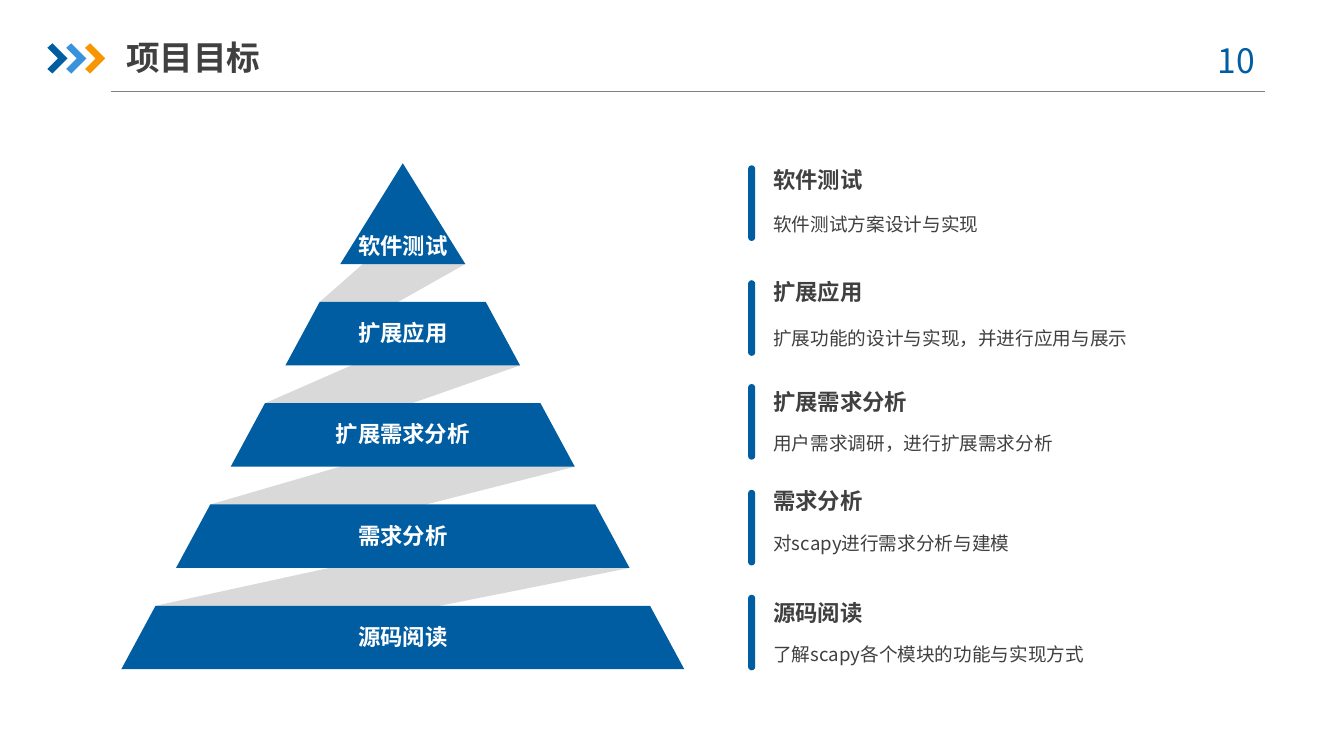
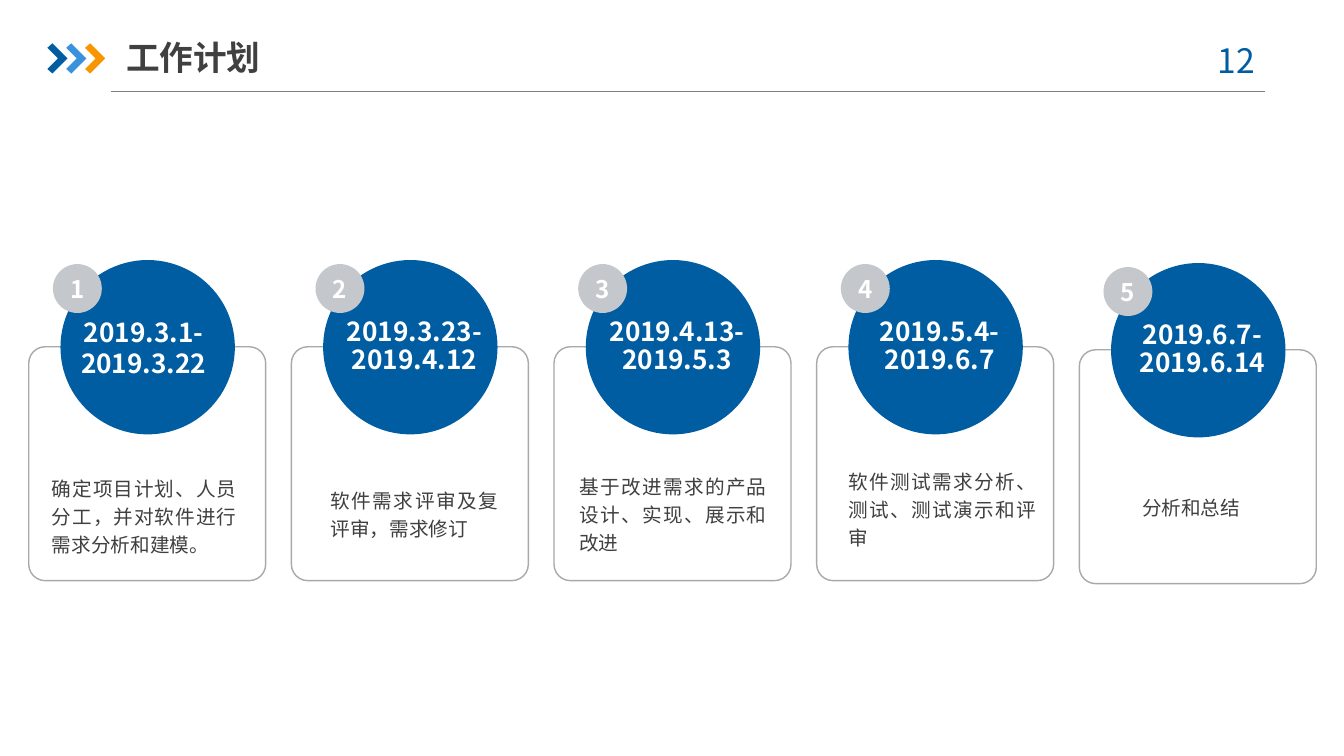
from dataclasses import dataclass

from lxml.etree import SubElement
from pptx import Presentation
from pptx.dml.color import RGBColor
from pptx.enum.shapes import MSO_CONNECTOR as Conn, MSO_SHAPE as Geo
from pptx.enum.text import MSO_ANCHOR as Anchor, MSO_AUTO_SIZE as Fit, PP_ALIGN as Align
from pptx.oxml.ns import qn
from pptx.util import Emu, Inches, Pt

ROWS = 75
SLIDE_H = Inches(7.5)
SLIDE_W = Inches(13.33)
CELL = SLIDE_H / ROWS


@dataclass(frozen=True)
class Theme:
    font: str = "Noto Sans CJK SC"
    blue: str = "005DA2"
    sky: str = "3992DB"
    orange: str = "F79600"
    ink: str = "404040"
    white: str = "FFFFFF"
    rule: str = "808080"
    ribbon: str = "D9D9D9"
    badge: str = "C4C7CB"
    frame: str = "A6AAA9"
    title: float = 24
    heading: float = 16
    note: float = 13.3
    body: float = 14
    date: float = 18.7
    number: float = 17.3


T = Theme()


@dataclass(frozen=True)
class Box:
    col: float
    row: float
    cols: float
    rows: float

    def emu(self) -> tuple[Emu, ...]:
        return tuple(cells(n) for n in (self.col, self.row, self.cols, self.rows))


@dataclass(frozen=True)
class Style:
    size: float
    color: str = T.ink
    bold: bool = False
    align: Align = Align.LEFT
    anchor: Anchor = Anchor.TOP
    spacing: float = 1
    before: float = 0
    inset: tuple[float, float] = (0, 0)
    wrap: bool = True
    grow: bool = False


@dataclass(frozen=True)
class Goal:
    name: str
    note: str
    bar_row: float
    name_row: float
    note_row: float


@dataclass(frozen=True)
class Phase:
    dates: str
    task: str
    task_col: float
    task_row: float
    task_cols: float = 18.6
    date_spacing: float = 0.9
    before: float = 10
    date_shift: float = 0
    drop: float = 0
    align: Align = Align.JUSTIFY


GOALS = (
    Goal("软件测试", "软件测试方案设计与实现", 16.4, 16.2, 20.4),
    Goal("扩展应用", "扩展功能的设计与实现，并进行应用与展示", 27.8, 27.3, 31.7),
    Goal("扩展需求分析", "用户需求调研，进行扩展需求分析", 38.1, 38.3, 42.2),
    Goal("需求分析", "对scapy进行需求分析与建模", 48.6, 48.1, 52.1),
    Goal("源码阅读", "了解scapy各个模块的功能与实现方式", 59.0, 59.2, 63.1),
)

PHASES = (
    Phase("2019.3.1-2019.3.22", "确定项目计划、人员分工，并对软件进行需求分析和建模。",
          2.3, 45.2, task_cols=18.3, date_spacing=1, before=4, date_shift=-0.8),
    Phase("2019.3.23-2019.4.12", "软件需求评审及复评审，需求修订", 3.9, 45, task_cols=16.6, before=4),
    Phase("2019.4.13-2019.5.3", "基于改进需求的产品设计、实现、展示和改进", 2.5, 45),
    Phase("2019.5.4-2019.6.7", "软件测试需求分析、测试、测试演示和评审", 3.2, 44.5),
    Phase("2019.6.7-2019.6.14", "分析和总结", 1.8, 44, drop=0.3, align=Align.CENTER),
)


def cells(n: float) -> Emu:
    return Emu(round(n * CELL))


def paint(sp, fill: str | None, line: str | None = None) -> None:
    sp.shadow.inherit = False
    if fill:
        sp.fill.solid()
        sp.fill.fore_color.rgb = RGBColor.from_string(fill)
    else:
        sp.fill.background()
    if line:
        sp.line.color.rgb = RGBColor.from_string(line)
        sp.line.width = Pt(1)
    else:
        sp.line.fill.background()


def write(sp, text: str, style: Style) -> None:
    tf = sp.text_frame
    tf.text = text
    tf.word_wrap = style.wrap
    tf.auto_size = Fit.SHAPE_TO_FIT_TEXT if style.grow else Fit.NONE
    tf.vertical_anchor = style.anchor
    tf.margin_left = tf.margin_right = cells(style.inset[0])
    tf.margin_top = tf.margin_bottom = cells(style.inset[1])
    p = tf.paragraphs[0]
    p.alignment = style.align
    p.line_spacing = style.spacing
    p.space_before = Pt(style.before)
    for r in p.runs:
        r.font.size = Pt(style.size)
        r.font.bold = style.bold
        r.font.color.rgb = RGBColor.from_string(style.color)
        r.font.name = T.font
        SubElement(r.font._element, qn("a:ea")).set("typeface", T.font)


def add_text(s, box: Box, text: str, style: Style) -> None:
    write(s.shapes.add_textbox(*box.emu()), text, style)


def add_geo(s, geo: Geo, box: Box, fill: str | None, line: str | None = None,
            adjust: tuple[float, ...] = ()):
    sp = s.shapes.add_shape(geo, *box.emu())
    paint(sp, fill, line)
    for i, value in enumerate(adjust):
        sp.adjustments[i] = value
    return sp


def add_polygon(s, points: list[tuple[float, float]], fill: str) -> None:
    start, *rest = [(cells(x), cells(y)) for x, y in points]
    builder = s.shapes.build_freeform(*start)
    builder.add_line_segments(rest, close=True)
    paint(builder.convert_to_shape(), fill)


def add_header(s, title: str, page: str) -> None:
    rule = s.shapes.add_connector(Conn.STRAIGHT, *(cells(n) for n in (11, 9.1, 125.5, 9.1)))
    rule.line.color.rgb = RGBColor.from_string(T.rule)
    rule.line.width = Pt(0.75)
    SubElement(rule._element.spPr, qn("a:effectLst"))
    chevron = ((0, 4.75), (0.5, 4.3), (2, 5.8), (0.5, 7.3), (0, 6.85), (1.05, 5.8))
    for i, color in enumerate((T.blue, T.sky, T.orange)):
        add_polygon(s, [(4.7 + 1.87 * i + x, y) for x, y in chevron], color)
    add_text(s, Box(117.7, 3.5, 9.8, 5), page,
             Style(T.title, T.blue, align=Align.CENTER, inset=(1, 0.5), grow=True))
    add_text(s, Box(12.5, 2.9, 31.1, 5.5), title,
             Style(T.title, bold=True, anchor=Anchor.MIDDLE, inset=(0, 0.5)))


def draw_pyramid(s) -> None:
    center, height, inset, label_rows = 39.95, 6.3, 3.4, 5.1
    tiers = [(26.2 + 10.05 * i, 6.2 + 5.43 * i) for i in range(len(GOALS))]
    for (bottom, half), (next_bottom, next_half) in zip(tiers, tiers[1:]):
        add_polygon(s, [(center + half - 3.7, bottom - 5.7),
                        (center - next_half + inset, next_bottom - height),
                        (center - next_half, next_bottom),
                        (center + half, bottom)], T.ribbon)
    label = Style(T.heading, T.white, True, Align.CENTER, Anchor.MIDDLE)
    for i, (goal, (bottom, half)) in enumerate(zip(GOALS, tiers)):
        base = [(center + half, bottom), (center - half, bottom)]
        if i == 0:
            add_polygon(s, base + [(center, bottom - 10)], T.blue)
        else:
            top, edge = bottom - height, half - inset
            add_polygon(s, base + [(center - edge, top), (center + edge, top)], T.blue)
        middle = bottom - (1.85 if i == 0 else 3.25)
        add_text(s, Box(center - half, middle - label_rows / 2, 2 * half, label_rows),
                 goal.name, label)


def draw_goals(s) -> None:
    name = Style(T.heading, bold=True, inset=(0.5, 0.25), wrap=False, grow=True)
    note = Style(T.note, align=Align.JUSTIFY, spacing=1.2, inset=(0.5, 0.25), grow=True)
    for goal in GOALS:
        add_geo(s, Geo.ROUND_2_SAME_RECTANGLE, Box(74.2, goal.bar_row, 0.7, 7.5),
                T.blue, adjust=(0.5, 0.5))
        add_text(s, Box(76.2, goal.note_row, 41.9, 3), goal.note, note)
        add_text(s, Box(76.2, goal.name_row, 2.23 * len(goal.name) + 1, 3.2), goal.name, name)


def draw_phase(s, index: int, phase: Phase) -> None:
    left, drop = 2.85 + 26.05 * index, phase.drop
    add_geo(s, Geo.ROUNDED_RECTANGLE, Box(left, 34.4 + drop, 23.5, 23.2),
            None, T.frame, (0.07,))
    add_geo(s, Geo.OVAL, Box(left + 3.15, 25.8 + drop, 17.3, 17.3), T.blue)
    badge = add_geo(s, Geo.OVAL, Box(left + 2.4, 26.2 + drop, 4.85, 4.85), T.badge)
    write(badge, str(index + 1),
          Style(T.number, T.white, True, Align.CENTER, Anchor.MIDDLE, inset=(0.3, 0.3)))
    add_text(s, Box(left + 4.1 + phase.date_shift, 31.5 + drop, 16.2, 5.9), phase.dates,
             Style(T.date, T.white, True, Align.CENTER, Anchor.MIDDLE,
                   phase.date_spacing, phase.before))
    add_text(s, Box(left + phase.task_col, phase.task_row + drop, phase.task_cols, 11.7),
             phase.task, Style(T.body, align=phase.align, anchor=Anchor.MIDDLE,
                               spacing=1.2, before=phase.before))


def main() -> None:
    prs = Presentation()
    prs.slide_width, prs.slide_height = SLIDE_W, SLIDE_H
    blank = prs.slide_layouts[6]

    s = prs.slides.add_slide(blank)
    add_header(s, "项目目标", "10")
    draw_pyramid(s)
    draw_goals(s)

    s = prs.slides.add_slide(blank)
    add_header(s, "工作计划", "12")
    for i, phase in enumerate(PHASES):
        draw_phase(s, i, phase)

    prs.save("out.pptx")


if __name__ == "__main__":
    main()
